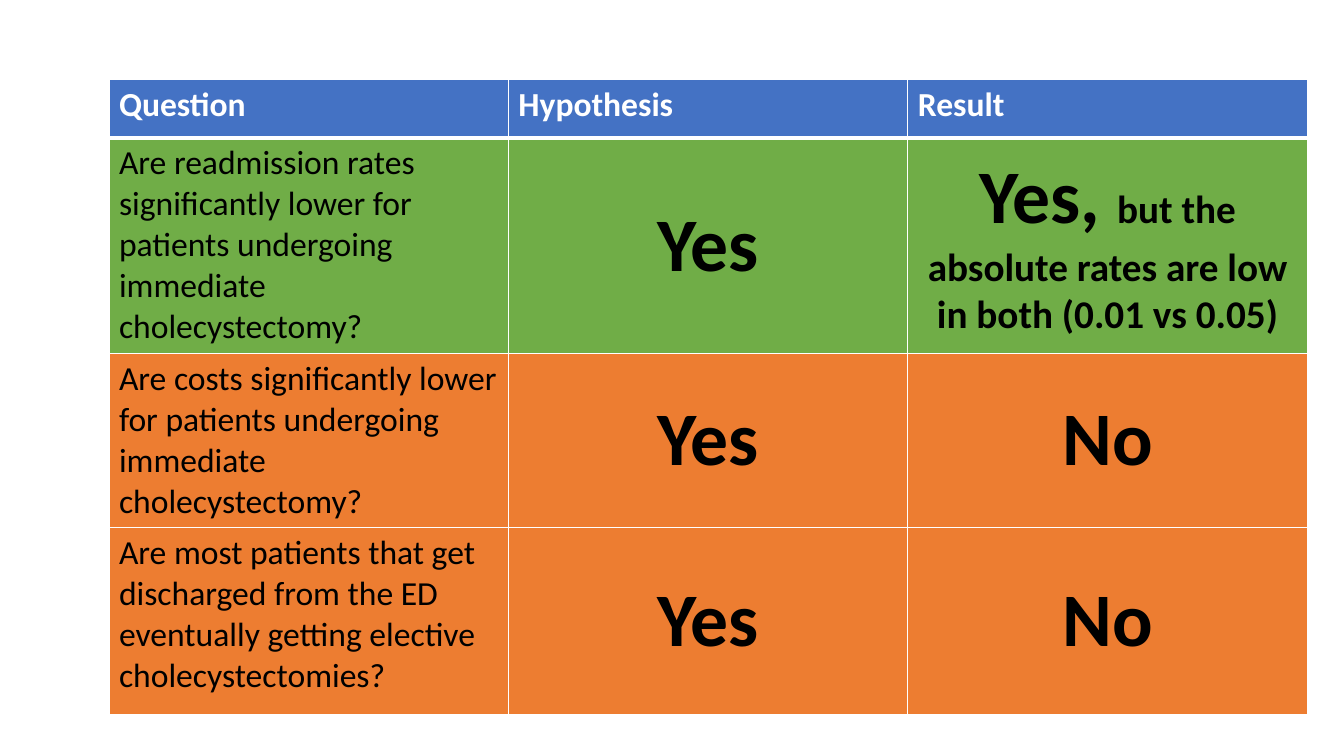
from dataclasses import dataclass

from lxml import etree
from pptx import Presentation
from pptx.dml.color import RGBColor
from pptx.enum.text import MSO_ANCHOR, PP_ALIGN
from pptx.oxml.ns import qn
from pptx.util import Pt

CENTER, LEFT = PP_ALIGN.CENTER, PP_ALIGN.LEFT
MIDDLE, TOP = MSO_ANCHOR.MIDDLE, MSO_ANCHOR.TOP


@dataclass(frozen=True)
class Theme:
    font: str = "Calibri"
    white: str = "FFFFFF"
    black: str = "000000"
    header: str = "4472C4"
    confirmed: str = "70AD47"
    rejected: str = "ED7D31"
    body_size: int = 24
    detail_size: int = 28
    answer_size: int = 54
    thin: int = 1
    thick: int = 3


THEME = Theme()
HEADINGS = ("Question", "Hypothesis", "Result")
FINDINGS = (
    ("Are readmission rates significantly lower for patients undergoing immediate cholecystectomy?",
     "Yes", "Yes, ", "but the absolute rates are low in both (0.01 vs 0.05)", THEME.confirmed),
    ("Are costs significantly lower for patients undergoing immediate cholecystectomy?",
     "Yes", "No", "", THEME.rejected),
    ("Are most patients that get discharged from the ED eventually getting elective cholecystectomies?",
     "Yes", "No", "", THEME.rejected),
)
ROW_HEIGHTS = (41.6, 141, 103, 134)


def add_text(paragraph, text, *, size, color, bold=False):
    run = paragraph.add_run()
    run.text = text
    run.font.name = THEME.font
    run.font.size = Pt(size)
    run.font.bold = bold
    run.font.color.rgb = RGBColor.from_string(color)


class SlideBuilder:
    def __init__(self, presentation, theme):
        self.theme = theme
        self.slide = presentation.slides.add_slide(presentation.slide_layouts[6])

    def table(self, left, top, width, height, row_heights, column_count):
        frame = self.slide.shapes.add_table(
            len(row_heights), column_count, Pt(left), Pt(top), Pt(width), Pt(height))
        for row, row_height in zip(frame.table.rows, row_heights):
            row.height = Pt(row_height)
        frame.height = Pt(height)
        return frame.table

    def border(self, cell, side, width):
        line = etree.SubElement(cell._tc.get_or_add_tcPr(), qn(f"a:ln{side}"), w=str(Pt(width)))
        fill = etree.SubElement(line, qn("a:solidFill"))
        etree.SubElement(fill, qn("a:srgbClr"), val=self.theme.white)

    def cell(self, cell, runs, *, fill, color, top_border, bottom_border, centered=False):
        thin = self.theme.thin
        for side, width in zip("LRTB", (thin, thin, top_border, bottom_border)):
            self.border(cell, side, width)
        cell.fill.solid()
        cell.fill.fore_color.rgb = RGBColor.from_string(fill)
        cell.vertical_anchor = MIDDLE if centered else TOP
        paragraph = cell.text_frame.paragraphs[0]
        paragraph.alignment = CENTER if centered else LEFT
        for text, size, bold in runs:
            add_text(paragraph, text, size=size, color=color, bold=bold)


def main():
    """Build the slide that sets each hypothesis against its result."""
    presentation = Presentation()
    presentation.slide_width, presentation.slide_height = Pt(960), Pt(540)
    builder = SlideBuilder(presentation, THEME)
    table = builder.table(77.8, 57, 856, 449, ROW_HEIGHTS, len(HEADINGS))
    for column, heading in enumerate(HEADINGS):
        builder.cell(table.cell(0, column), [(heading, THEME.body_size, True)],
                     fill=THEME.header, color=THEME.white,
                     top_border=THEME.thin, bottom_border=THEME.thick)
    for row, (question, hypothesis, result, detail, fill) in enumerate(FINDINGS, start=1):
        result_runs = [(result, THEME.answer_size, True)]
        if detail:
            result_runs.append((detail, THEME.detail_size, True))
        contents = ([(question, THEME.body_size, False)],
                    [(hypothesis, THEME.answer_size, True)], result_runs)
        for column, runs in enumerate(contents):
            builder.cell(table.cell(row, column), runs, fill=fill, color=THEME.black,
                         top_border=THEME.thick if row == 1 else THEME.thin,
                         bottom_border=THEME.thin, centered=column > 0)
    presentation.save("out.pptx")


if __name__ == "__main__":
    main()
